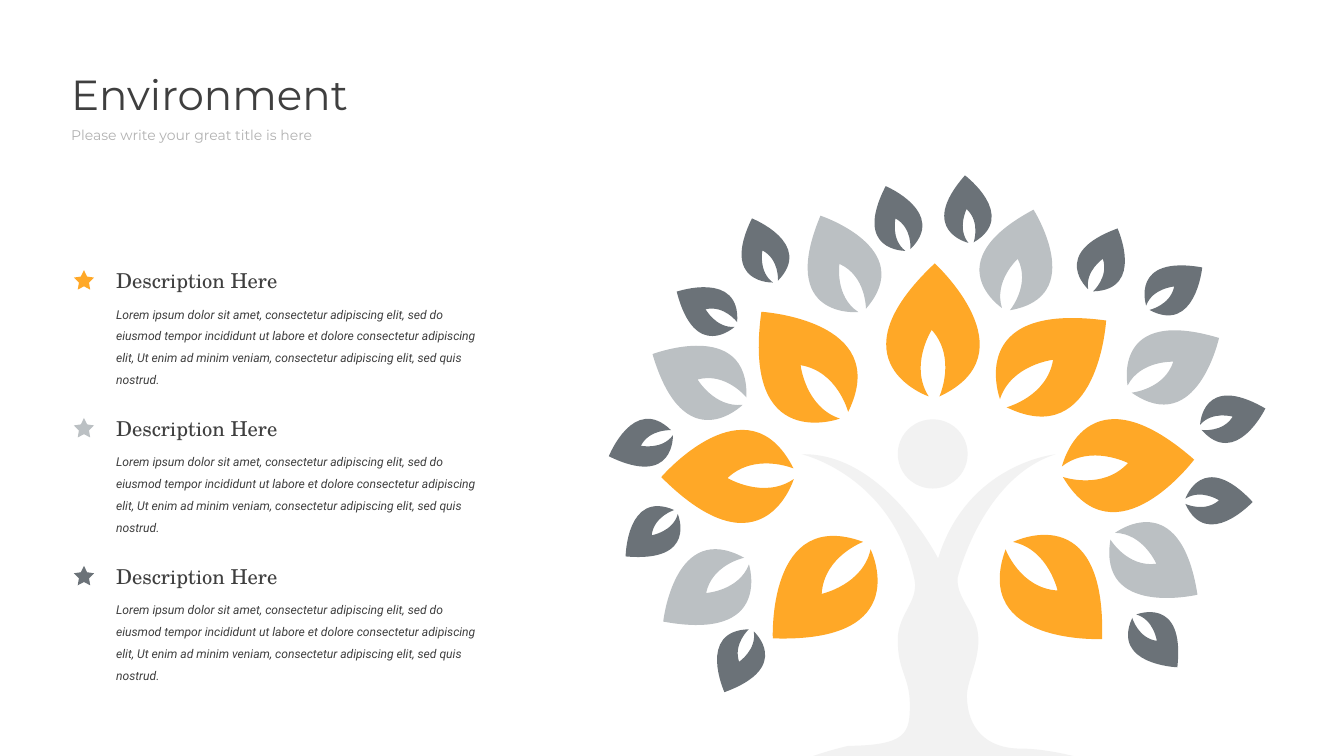
from lxml import etree
from pptx import Presentation
from pptx.dml.color import RGBColor
from pptx.enum.shapes import MSO_SHAPE as Shape
from pptx.enum.text import MSO_AUTO_SIZE as AutoSize
from pptx.oxml.ns import qn
from pptx.util import Inches, Pt

ORANGE = RGBColor(0xFF, 0xA8, 0x27)
SILVER = RGBColor(0xBB, 0xC0, 0xC3)
SLATE = RGBColor(0x6B, 0x72, 0x78)
TRUNK = RGBColor(0xF2, 0xF2, 0xF2)
INK = RGBColor(0x3F, 0x3F, 0x3F)
MUTED = RGBColor(0xB2, 0xB2, 0xB2)

LOREM = (
    "Lorem ipsum dolor sit amet, consectetur adipiscing elit, sed do eiusmod tempor "
    "incididunt ut labore et dolore consectetur adipiscing elit, Ut enim ad minim veniam, "
    "consectetur adipiscing elit, sed quis nostrud."
)

UNIT_LEAF = [
    ((0, 0), (0.74, 0.67), (0.04, 1)),
    ((0.04, 1), (0.17, 0.71), (-0.02, 0.5)),
    ((-0.02, 0.5), (-0.19, 0.77), (-0.04, 1)),
    ((-0.04, 1), (-0.79, 0.75), (0, 0)),
]

LARGE_LEAVES = [
    ((16.4, 9.51), (15.02, 8.12)), ((17.77, 6.84), (15.81, 7.02)),
    ((16.46, 4.77), (14.93, 6)), ((11.33, 4.64), (12.56, 6.18)),
    ((13.91, 3.92), (13.9, 5.9)), ((9.84, 7.1), (11.81, 7.05)),
    ((11.5, 9.5), (12.9, 8.12)),
]
MEDIUM_LEAVES = [
    ((17.82, 8.85), (16.56, 7.98)), ((18.14, 5.03), (16.81, 5.79)),
    ((15.38, 3.12), (14.97, 4.6)), ((12.21, 3.21), (12.83, 4.62)),
    ((9.71, 5.27), (11.08, 5.97)), ((9.87, 9.25), (11.11, 8.35)),
]
SMALL_LEAVES = [
    ((17.52, 9.93), (16.88, 9.17)), ((18.64, 7.47), (17.64, 7.46)),
    ((18.83, 6.08), (17.87, 6.36)), ((17.89, 3.98), (17.08, 4.58)),
    ((16.63, 3.4), (16.23, 4.32)), ((14.36, 2.61), (14.45, 3.61)),
    ((13.18, 2.77), (13.51, 3.72)), ((11.19, 3.25), (11.54, 4.19)),
    ((10.07, 4.34), (10.95, 4.83)), ((9.06, 6.79), (10, 6.44)),
    ((9.31, 8.28), (10.06, 7.62)), ((10.78, 10.3), (11.18, 9.38)),
]

BODY_START = (11.93, 6.76)
BODY_CURVES = [
    ((13.16, 6.73), (13.96, 8.31), (13.96, 8.31)),
    ((14.4, 6.89), (15.71, 6.76), (15.71, 6.76)),
    ((14.61, 7.11), (14.25, 8.6), (14.25, 8.6)),
    ((14.23, 8.93), (14.56, 9.13), (14.56, 9.52)),
    ((14.56, 9.88), (14.38, 10.14), (14.39, 10.38)),
    ((14.4, 10.82), (14.66, 11.14), (15.19, 11.14)),
    ((15.43, 11.14), (15.73, 11.19), (15.97, 11.25)),
    ((15.97, 11.25), (12.1, 11.25), (12.1, 11.25)),
    ((12.36, 11.16), (12.62, 11.1), (12.62, 11.1)),
    ((13.49, 11.09), (13.54, 10.91), (13.54, 10.49)),
    ((13.54, 10.07), (13.36, 10), (13.36, 9.52)),
    ((13.36, 9.14), (13.67, 8.96), (13.61, 8.63)),
    ((13.28, 7.07), (11.93, 6.76), (11.93, 6.76)),
]


def paint(shape, color):
    """Give a shape a flat fill without outline or shadow."""
    shape.shadow.inherit = False
    shape.fill.solid()
    shape.fill.fore_color.rgb = color
    shape.line.fill.background()


def bend_segments(shape):
    """Turn every three line segments of a freeform into one cubic curve."""
    segments = list(shape._element.iter(qn("a:lnTo")))
    for first in range(0, len(segments), 3):
        curve = etree.Element(qn("a:cubicBezTo"))
        segments[first].addprevious(curve)
        for segment in segments[first:first + 3]:
            curve.append(segment[0])
            segment.getparent().remove(segment)


def add_curved_outline(shapes, start, curves, color):
    """Draw a closed outline made of consecutive cubic curves."""
    builder = shapes.build_freeform(Inches(start[0]), Inches(start[1]), scale=1.0)
    points = [(Inches(x), Inches(y)) for curve in curves for x, y in curve]
    builder.add_line_segments(points, close=False)
    shape = builder.convert_to_shape()
    bend_segments(shape)
    paint(shape, color)


def add_leaf(shapes, tip, base, color):
    """Draw the unit leaf turned and scaled to run from tip to base."""
    along_x, along_y = base[0] - tip[0], base[1] - tip[1]

    def place(point):
        """Map a unit leaf point onto the slide."""
        x, y = point
        return tip[0] + x * along_y + y * along_x, tip[1] - x * along_x + y * along_y

    curves = [[place(point) for point in curve] for curve in UNIT_LEAF]
    add_curved_outline(shapes, tip, curves, color)


def add_preset(shapes, kind, left, top, width, height, color):
    """Draw a flat preset shape."""
    shape = shapes.add_shape(kind, Inches(left), Inches(top), Inches(width), Inches(height))
    paint(shape, color)
    return shape


def add_text(shapes, text, left, top, width, height, font, size, color,
             italic=False, line_spacing=None):
    """Add a wrapping text box with one run."""
    box = shapes.add_textbox(Inches(left), Inches(top), Inches(width), Inches(height))
    frame = box.text_frame
    frame.word_wrap = True
    frame.auto_size = AutoSize.SHAPE_TO_FIT_TEXT
    paragraph = frame.paragraphs[0]
    if line_spacing:
        paragraph.line_spacing = line_spacing
    run = paragraph.add_run()
    run.text = text
    run.font.name = font
    run.font.size = Pt(size)
    run.font.italic = italic
    run.font.color.rgb = color


def add_description(shapes, top, color):
    """Add a starred heading with its body text."""
    star = add_preset(shapes, Shape.STAR_5_POINT, 1.1, top + 0.08, 0.3, 0.29, color)
    star.adjustments[0] = 0.25
    add_text(shapes, LOREM, 1.63, top + 0.47, 5.65, 1.09, "Roboto", 13, INK,
             italic=True, line_spacing=1.5)
    add_text(shapes, "Description Here", 1.63, top, 3.04, 0.47, "TeX Gyre Schola", 22, INK)


def add_tree(shapes):
    """Draw the leaves and the figure that forms the trunk."""
    tiers = (
        (shapes, LARGE_LEAVES, ORANGE),
        (shapes.add_group_shape().shapes, SMALL_LEAVES, SLATE),
        (shapes.add_group_shape().shapes, MEDIUM_LEAVES, SILVER),
    )
    for tier_shapes, leaves, color in tiers:
        for tip, base in leaves:
            add_leaf(tier_shapes, tip, base, color)
    add_curved_outline(shapes, BODY_START, BODY_CURVES, TRUNK)
    add_preset(shapes, Shape.OVAL, 13.36, 6.24, 1.04, 1.03, TRUNK)


def main():
    """Build and save the slide."""
    presentation = Presentation()
    presentation.slide_width = Inches(20)
    presentation.slide_height = Inches(11.25)
    slide = presentation.slides.add_slide(presentation.slide_layouts[6])
    shapes = slide.shapes
    add_tree(shapes)
    for row, color in enumerate((ORANGE, SILVER, SLATE)):
        add_description(shapes, 3.94 + 2.2 * row, color)
    add_text(shapes, "Environment", 0.96, 0.97, 5.59, 0.86, "Montserrat", 45, INK)
    add_text(shapes, "Please write your great title is here", 0.96, 1.83, 4.62, 0.35,
             "Montserrat", 15, MUTED)
    presentation.save("out.pptx")


if __name__ == "__main__":
    main()
